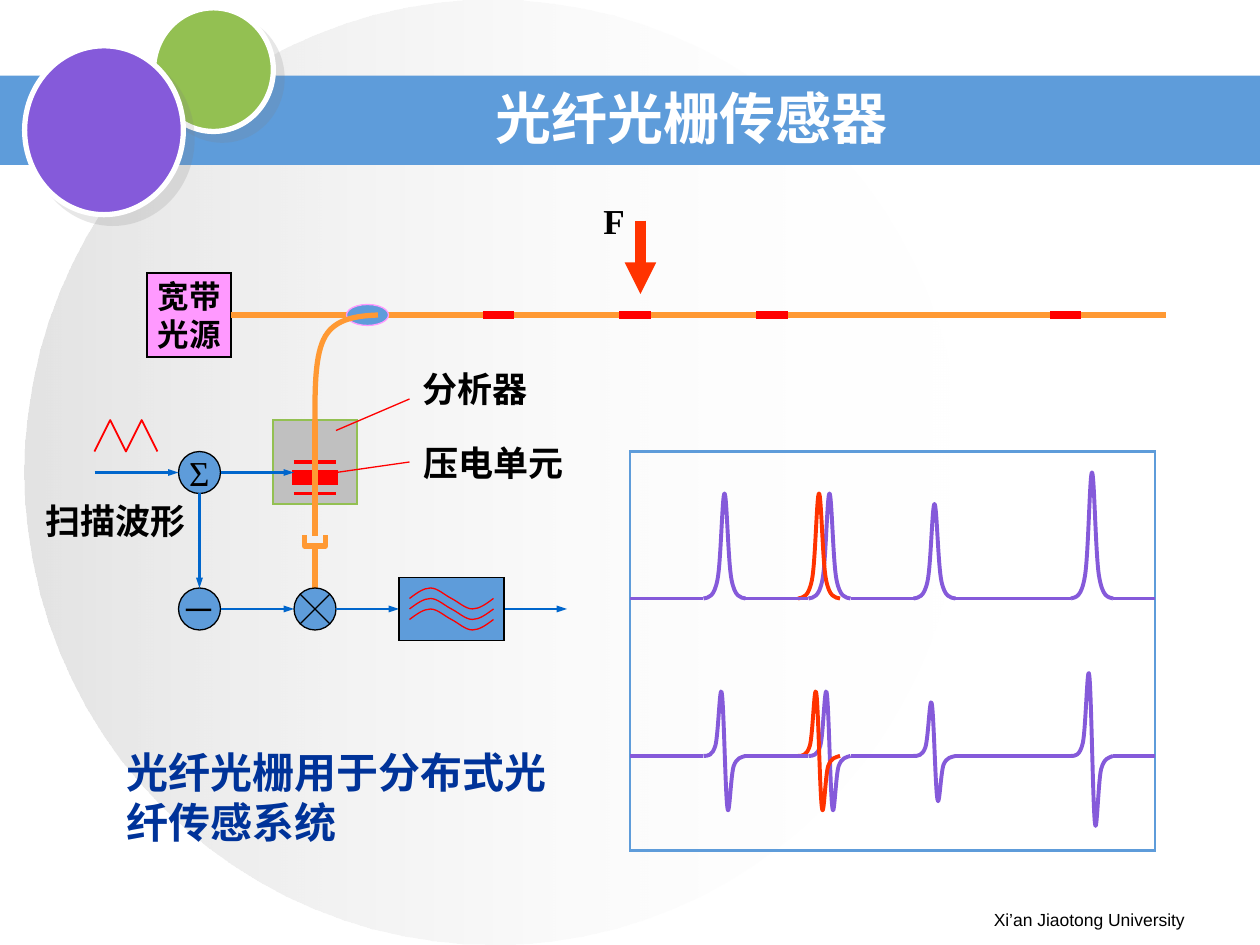
from lxml import etree
from pptx import Presentation
from pptx.dml.color import RGBColor
from pptx.enum.shapes import MSO_CONNECTOR, MSO_SHAPE
from pptx.enum.text import MSO_ANCHOR, PP_ALIGN
from pptx.oxml.ns import qn
from pptx.util import Pt

RECT, OVAL = MSO_SHAPE.RECTANGLE, MSO_SHAPE.OVAL
MIXER = MSO_SHAPE.FLOWCHART_SUMMING_JUNCTION
STRAIGHT = MSO_CONNECTOR.STRAIGHT
TOP, MIDDLE = MSO_ANCHOR.TOP, MSO_ANCHOR.MIDDLE
LEFT, CENTER, RIGHT = PP_ALIGN.LEFT, PP_ALIGN.CENTER, PP_ALIGN.RIGHT

BLUE, PURPLE, GREEN, WHITE, BLACK = "5E9CDA", "855ADA", "93C052", "FFFFFF", "000000"
RED, FORCE, FIBER, PINK, SIGNAL = "FF0000", "FF3300", "FF9933", "FF99FF", "0066CC"
GREY, NAVY = "C0C0C0", "003399"
SERIF, SANS = "Times New Roman", "Arial"

HALF_PEAK = [(-12, 0), (-9, .01), (-6, .01), (-4, .18), (-2, .35), (-1.3, 1), (0, 1)]
PEAK = HALF_PEAK + [(-x, y) for x, y in HALF_PEAK[-2::-1]]
DERIVATIVE = [(-12, 0), (-9.5, 0), (-7, 0), (-5.2, .14), (-3.5, .29), (-2.7, 1),
              (-1.6, .86), (-.4, .71), (.5, -.55), (1.7, -.71), (2.7, -.88),
              (3.6, -.26), (5.2, -.14), (7, -.02), (9.5, -.02), (12, 0)]
WAVE = [(0, 0), (4, -3), (8, -6), (12, -6), (16, -6), (20, -2), (24, 0),
        (28, 2), (32, 6), (36, 6), (40, 6), (44, 3), (48, 0)]


def rgb(color):
    return RGBColor.from_string(color)


def add_effects(shape):
    return etree.SubElement(shape._element.spPr, qn("a:effectLst"))


def write(shape, text, size, font, color=BLACK, bold=False, align=CENTER,
          anchor=TOP, inset=(0, 0), wrap=True):
    frame = shape.text_frame
    frame.text = text
    frame.word_wrap = wrap
    frame.vertical_anchor = anchor
    frame.margin_left = frame.margin_right = Pt(inset[0])
    frame.margin_top = frame.margin_bottom = Pt(inset[1])
    paragraph = frame.paragraphs[0]
    paragraph.alignment = align
    run_font = paragraph.runs[0].font
    run_font.name, run_font.size, run_font.bold = font, Pt(size), bold
    run_font.color.rgb = rgb(color)


def add_label(shapes, box, text, size, font, **style):
    label = shapes.add_textbox(*map(Pt, box))
    write(label, text, size, font, **style)


def add_block(shapes, kind, box, fill=None, outline=None, width=0.75):
    block = shapes.add_shape(kind, *map(Pt, box))
    block.shadow.inherit = False
    if fill:
        block.fill.solid()
        block.fill.fore_color.rgb = rgb(fill)
    else:
        block.fill.background()
    if outline:
        block.line.color.rgb = rgb(outline)
        block.line.width = Pt(width)
        etree.SubElement(block.line._get_or_add_ln(), qn("a:miter"), lim="800000")
    else:
        block.line.fill.background()
    return block


def add_line(shapes, start, end, color, width, arrow=None):
    line = shapes.add_connector(STRAIGHT, *map(Pt, start + end))
    line.line.color.rgb = rgb(color)
    line.line.width = Pt(width)
    if arrow:
        etree.SubElement(line.line._get_or_add_ln(), qn("a:tailEnd"),
                         type="triangle", w=arrow, len="med")
    add_effects(line)


def add_outline(shapes, points, color, width):
    corners = [(Pt(x), Pt(y)) for x, y in points]
    builder = shapes.build_freeform(*corners[0])
    builder.add_line_segments(corners[1:], close=False)
    outline = builder.convert_to_shape()
    outline.shadow.inherit = False
    outline.fill.background()
    outline.line.color.rgb = rgb(color)
    outline.line.width = Pt(width)
    return outline


def add_curve(shapes, controls, color, width):
    curve = add_outline(shapes, controls, color, width)
    segments = list(curve._element.iter(qn("a:lnTo")))
    for first in range(0, len(segments), 3):
        bezier = etree.Element(qn("a:cubicBezTo"))
        segments[first].addprevious(bezier)
        for segment in segments[first:first + 3]:
            bezier.append(segment[0])
            segment.getparent().remove(segment)


def add_disc(shapes, box, fill):
    disc = add_block(shapes, OVAL, box, fill, WHITE, 3)
    shadow = etree.SubElement(disc._element.spPr.find(qn("a:effectLst")), qn("a:outerShdw"),
                              dist=str(Pt(7.1)), dir="2700000", algn="ctr", rotWithShape="0")
    tint = etree.SubElement(shadow, qn("a:srgbClr"), val="808080")
    etree.SubElement(tint, qn("a:alpha"), val="19000")


def add_backdrop(shapes):
    circle = add_block(shapes, OVAL, (14, 0, 535.7, 540))
    circle.fill.gradient()
    circle.fill.gradient_angle = 180
    for stop, position, color, alpha in zip(circle.fill.gradient_stops, (0, 1),
                                            (WHITE, GREY), (0, 44)):
        stop.position = position
        stop.color.rgb = rgb(color)
        tint = stop._gs.find(qn("a:srgbClr"))
        etree.SubElement(tint, qn("a:alpha"), val=str(alpha * 1000))
    add_block(shapes, RECT, (0, 43.2, 720, 51.1), BLUE)
    add_disc(shapes, (87.8, 4.5, 68.4, 70.6), GREEN)
    add_disc(shapes, (14.1, 26.2, 90.7, 96.5), PURPLE)


def add_sensor_setup(shapes):
    add_label(shapes, (336, 114, 30, 24), "F", 20, SERIF, bold=True)
    source = add_block(shapes, RECT, (84, 156, 48, 48), PINK, BLACK)
    write(source, "宽带光源", 18, SERIF, bold=True, anchor=MIDDLE)
    add_block(shapes, RECT, (156, 240, 48, 48), GREY, GREEN)
    add_line(shapes, (132, 180), (666, 180), FIBER, 3)
    for grating in (276, 354, 432, 600):
        add_line(shapes, (grating, 180), (grating + 18, 180), RED, 4.5)
    add_line(shapes, (366, 126), (366, 168), FORCE, 6, "med")
    add_block(shapes, OVAL, (198, 174, 24, 12), BLUE, PINK)
    add_block(shapes, RECT, (168, 270, 24, 6), RED, RED, 2.25)
    for electrode in (264, 282):
        add_line(shapes, (168, electrode), (192, electrode), RED, 2.25)
    add_curve(shapes, [(216, 180), (204, 180.5), (192, 182), (186, 192),
                       (180, 202), (180, 221), (180, 240)], FIBER, 3)
    add_line(shapes, (180, 240), (180, 306), FIBER, 3)
    add_outline(shapes, [(174, 306), (174, 312), (186, 312), (186, 306)], FIBER, 3)
    add_line(shapes, (180, 312), (180, 336), FIBER, 3)
    add_block(shapes, MIXER, (168, 336, 24, 24), BLUE, BLACK)
    for top, sign in ((336, "－"), (258, "Σ")):
        node = add_block(shapes, OVAL, (102, top, 24, 24), BLUE, BLACK)
        write(node, sign, 20, SERIF, anchor=MIDDLE, inset=(7.2, 3.6), wrap=False)
    for start, end in (((54, 270), (102, 270)), ((126, 270), (168, 270)),
                       ((114, 282), (114, 336)), ((126, 348), (168, 348)),
                       ((192, 348), (228, 348)), ((288, 348), (324, 348))):
        add_line(shapes, start, end, SIGNAL, 1.5, "sm")
    add_block(shapes, RECT, (228, 330, 60, 36), BLUE, BLACK)
    for level in (354, 348, 342):
        add_curve(shapes, [(234 + x, level + y) for x, y in WAVE], RED, 0.75)


def add_annotations(shapes):
    add_label(shapes, (234, 210, 75, 20), "分析器", 20, SERIF, bold=True)
    add_label(shapes, (240, 252, 84, 24), "压电单元", 20, SERIF, bold=True)
    add_outline(shapes, [(54 + 9 * i, 240 if i % 2 else 258) for i in range(5)], RED, 1)
    add_label(shapes, (24, 282, 84, 24), "扫描波形", 20, SERIF, bold=True, inset=(0, 3.6))
    add_line(shapes, (192, 246), (234, 228), RED, 0.75)
    add_line(shapes, (192, 270), (234, 264), RED, 0.75)


def add_trace(shapes, profile, baseline, heights, shifted_height):
    centers = (414, 474, 534, 624)
    peaks = [(x, h, PURPLE) for x, h in zip(centers, heights)]
    for center, height, color in peaks + [(468, shifted_height, FORCE)]:
        add_curve(shapes, [(center + x, baseline - height * y) for x, y in profile],
                  color, 2.25)
    starts = [360] + [x + 12 for x in centers]
    ends = [x - 12 for x in centers] + [660]
    for start, end in zip(starts, ends):
        add_line(shapes, (start, baseline), (end, baseline), PURPLE, 2.25)


def add_spectra(shapes):
    add_block(shapes, RECT, (360, 258, 300, 228), None, BLUE, 1.5)
    add_trace(shapes, PEAK, 342, (60, 60, 54, 72), 60)
    add_trace(shapes, DERIVATIVE, 432, (42, 42, 35, 54), 42)


def main():
    deck = Presentation()
    deck.slide_width, deck.slide_height = Pt(720), Pt(540)
    shapes = deck.slides.add_slide(deck.slide_layouts[6]).shapes
    add_backdrop(shapes)
    add_label(shapes, (516.2, 516.2, 167.8, 19.4), "Xi’an Jiaotong University", 10, SANS,
              align=RIGHT, inset=(7.2, 3.6))
    add_label(shapes, (162, 47.8, 473.8, 38.2), "光纤光栅传感器 ", 32, SANS, color=WHITE,
              bold=True, anchor=MIDDLE, inset=(7.2, 3.6))
    add_sensor_setup(shapes.add_group_shape().shapes)
    add_annotations(shapes)
    add_spectra(shapes.add_group_shape().shapes)
    add_label(shapes, (65.2, 423, 277.9, 64.8), "光纤光栅用于分布式光纤传感系统", 24, SANS,
              color=NAVY, bold=True, align=LEFT, inset=(7.2, 3.6))
    deck.save("out.pptx")


if __name__ == "__main__":
    main()
